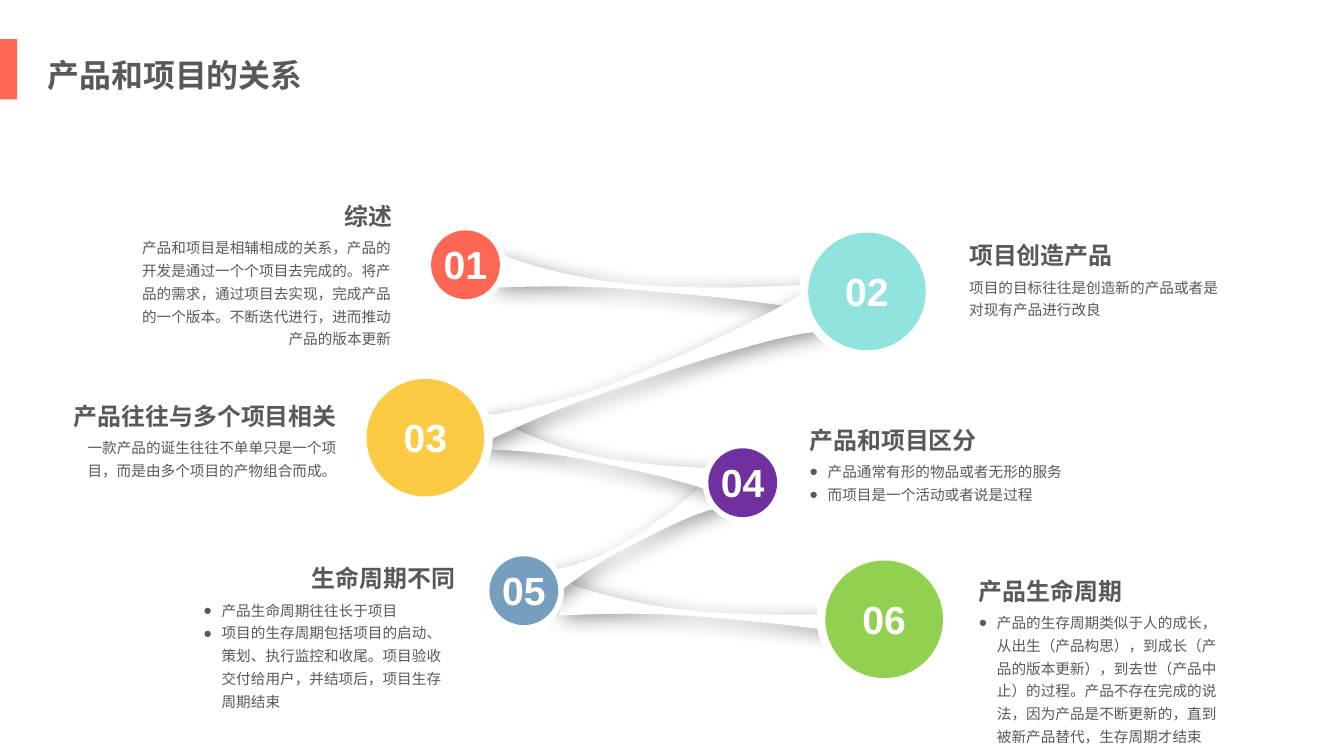
import pptx
import pptx.dml.color
import pptx.enum.shapes
import pptx.enum.text
import pptx.oxml
import pptx.oxml.ns
import pptx.util
from pptx.util import Inches

FONT = "Arial"
WHITE, GREY, CORAL = "FFFFFF", "595959", "FD6753"
LEFT, RIGHT = pptx.enum.text.PP_ALIGN.LEFT, pptx.enum.text.PP_ALIGN.RIGHT
CENTER = pptx.enum.text.PP_ALIGN.CENTER

TITLE = "产品和项目的关系"

SMALL, LARGE = (0.84, 0.72), (1.41, 1.23)
NODES = [
    ("01", 4.87, 2.77, SMALL, CORAL),
    ("02", 9.07, 3.05, LARGE, "91E3DE"),
    ("03", 4.45, 4.58, LARGE, "FCCB43"),
    ("04", 7.77, 5.05, SMALL, "7030A0"),
    ("05", 5.48, 6.18, SMALL, "769EBF"),
    ("06", 9.25, 6.48, LARGE, "92D050"),
]

RIBBONS = [
    ([(5.88, 6.08), (6.25, 6.22), (6.76, 6.35), (7.34, 6.4), (7.92, 6.45), (8.96, 6.44), (9.36, 6.38)],
     [(9.33, 6.74), (8.99, 6.6), (7.89, 6.5), (7.31, 6.45), (6.73, 6.4), (6.15, 6.43), (5.85, 6.44)]),
    ([(5.55, 5.99), (5.8, 5.98), (6.12, 5.9), (6.43, 5.74), (6.75, 5.57), (7.25, 5.19), (7.42, 4.99)],
     [(7.58, 5.31), (7.34, 5.31), (6.75, 5.63), (6.44, 5.79), (6.13, 5.96), (5.86, 6.19), (5.71, 6.3)]),
    ([(5.16, 4.35), (5.41, 4.51), (5.78, 4.68), (6.21, 4.77), (6.64, 4.86), (7.42, 4.92), (7.73, 4.89)],
     [(7.65, 5.24), (7.42, 5.08), (6.6, 4.91), (6.18, 4.82), (5.75, 4.73), (5.31, 4.71), (5.08, 4.7)]),
    ([(5.2, 2.65), (5.57, 2.79), (6.08, 2.93), (6.67, 2.98), (7.25, 3.03), (8.29, 3.01), (8.68, 2.95)],
     [(8.65, 3.31), (8.31, 3.17), (7.21, 3.08), (6.63, 3.03), (6.05, 2.98), (5.47, 3), (5.17, 3.01)]),
    ([(4.47, 4.41), (4.95, 4.39), (5.58, 4.29), (6.25, 4.07), (6.91, 3.84), (8.04, 3.31), (8.44, 3.04)],
     [(8.59, 3.47), (8.15, 3.48), (6.89, 3.91), (6.23, 4.14), (5.57, 4.37), (4.95, 4.68), (4.63, 4.85)]),
]

TOPICS = [
    ("综述", (3.49, 1.97, 0.71, 0.46), RIGHT,
     ["产品和项目是相辅相成的关系，产品的开发是通过一个个项目去完成的。将产品的需求，通过项目去实现，"
      "完成产品的一个版本。不断迭代进行，进而推动产品的版本更新"],
     (1.37, 2.4, 2.82, 1.29), False),
    ("项目创造产品", (10.04, 2.38, 1.72, 0.46), LEFT,
     ["项目的目标往往是创造新的产品或者是对现有产品进行改良"],
     (10.04, 2.81, 2.82, 0.59), False),
    ("产品往往与多个项目相关", (0.64, 4.06, 2.98, 0.49), RIGHT,
     ["一款产品的诞生往往不单单只是一个项目，而是由多个项目的产物组合而成。"],
     (0.8, 4.49, 2.82, 0.83), False),
    ("产品和项目区分", (8.37, 4.31, 2.14, 0.49), LEFT,
     ["产品通常有形的物品或者无形的服务", "而项目是一个活动或者说是过程"],
     (8.37, 4.74, 3.07, 0.8), True),
    ("生命周期不同", (3.14, 5.76, 1.72, 0.46), RIGHT,
     ["产品生命周期往往长于项目",
      "项目的生存周期包括项目的启动、策划、执行监控和收尾。项目验收交付给用户，并结项后，项目生存周期结束"],
     (2.03, 6.19, 2.82, 1.31), True),
    ("产品生命周期", (10.14, 5.89, 1.72, 0.46), LEFT,
     ["产品的生存周期类似于人的成长，从出生（产品构思），到成长（产品的版本更新），到去世（产品中止）的过程。"
      "产品不存在完成的说法，因为产品是不断更新的，直到被新产品替代，生存周期才结束"],
     (10.14, 6.32, 2.82, 1.55), True),
]


def color(value):
    return pptx.dml.color.RGBColor.from_string(value)


def drawing_element(tag, attributes="", content=""):
    return pptx.oxml.parse_xml(
        f'<a:{tag} {pptx.oxml.ns.nsdecls("a")} {attributes}>{content}</a:{tag}>')


def paint(shape, fill):
    shape.shadow.inherit = False
    shape.fill.solid()
    shape.fill.fore_color.rgb = color(fill)
    shape.line.fill.background()


def write(text_frame, lines, size, text_color, bold, align, spacing=1.3):
    text_frame.text = "\n".join(lines)
    for paragraph in text_frame.paragraphs:
        paragraph.alignment = align
        paragraph.line_spacing = spacing
        for run in paragraph.runs:
            run.font.name = FONT
            run.font.size = pptx.util.Pt(size)
            run.font.bold = bold
            run.font.color.rgb = color(text_color)


def add_text(slide, box, lines, size, bold, align, wrap):
    shape = slide.shapes.add_textbox(*map(Inches, box))
    shape.text_frame.word_wrap = wrap
    shape.text_frame.auto_size = pptx.enum.text.MSO_AUTO_SIZE.SHAPE_TO_FIT_TEXT
    write(shape.text_frame, lines, size, GREY, bold, align)
    return shape


def add_bullets(text_frame):
    for paragraph in text_frame.paragraphs:
        properties = paragraph._p.get_or_add_pPr()
        properties.set("marL", str(Inches(0.19)))
        properties.set("indent", str(Inches(-0.19)))
        properties.append(drawing_element("buFont", f'typeface="{FONT}"'))
        properties.append(drawing_element("buChar", 'char="●"'))


def bend(ribbon):
    outline = ribbon._element.spPr.find(".//" + pptx.oxml.ns.qn("a:path"))
    lines = outline.findall(pptx.oxml.ns.qn("a:lnTo"))
    for first in (0, 3, 7, 10):
        curve = drawing_element("cubicBezTo")
        lines[first].addprevious(curve)
        for line in lines[first:first + 3]:
            curve.append(line[0])
            outline.remove(line)


def add_ribbon(slide, upper, lower):
    outline = [(Inches(x), Inches(y)) for x, y in upper + lower]
    builder = slide.shapes.build_freeform(*outline[0])
    builder.add_line_segments(outline[1:], close=True)
    ribbon = builder.convert_to_shape()
    bend(ribbon)
    paint(ribbon, WHITE)
    effects = ribbon._element.spPr.find(pptx.oxml.ns.qn("a:effectLst"))
    effects.append(drawing_element(
        "outerShdw",
        f'blurRad="{pptx.util.Pt(15)}" dist="{pptx.util.Pt(5)}" dir="{45 * 60000}" '
        'algn="tl" rotWithShape="0"',
        '<a:srgbClr val="000000"><a:alpha val="40000"/></a:srgbClr>'))


def add_disc(slide, x, y, diameter, fill):
    disc = slide.shapes.add_shape(
        pptx.enum.shapes.MSO_SHAPE.OVAL, Inches(x - diameter / 2), Inches(y - diameter / 2),
        Inches(diameter), Inches(diameter))
    paint(disc, fill)
    return disc


def add_node(slide, number, x, y, diameters, fill):
    ring, core = diameters
    add_disc(slide, x, y, ring, WHITE)
    text_frame = add_disc(slide, x, y, core, fill).text_frame
    text_frame.margin_left = text_frame.margin_right = text_frame.margin_top = 0
    text_frame.margin_bottom = Inches(0.02)
    text_frame.word_wrap = False
    text_frame.vertical_anchor = pptx.enum.text.MSO_ANCHOR.MIDDLE
    write(text_frame, [number], 29.5, WHITE, True, CENTER, 1.0)


def main():
    presentation = pptx.Presentation()
    presentation.slide_width, presentation.slide_height = Inches(14.06), Inches(7.91)
    slide = presentation.slides.add_slide(presentation.slide_layouts[6])

    for upper, lower in RIBBONS:
        add_ribbon(slide, upper, lower)
    for node in NODES:
        add_node(slide, *node)
    for heading, heading_box, align, lines, body_box, bulleted in TOPICS:
        body_align = LEFT if bulleted else align
        body = add_text(slide, body_box, lines, 11, False, body_align, True)
        if bulleted:
            add_bullets(body.text_frame)
        add_text(slide, heading_box, [heading], 18, True, align, False)

    accent = slide.shapes.add_shape(
        pptx.enum.shapes.MSO_SHAPE.RECTANGLE, 0, Inches(0.41), Inches(0.18), Inches(0.63))
    paint(accent, CORAL)
    add_text(slide, (0.4, 0.41, 2.89, 0.63), [TITLE], 24, True, LEFT, False)
    presentation.save("out.pptx")


if __name__ == "__main__":
    main()
